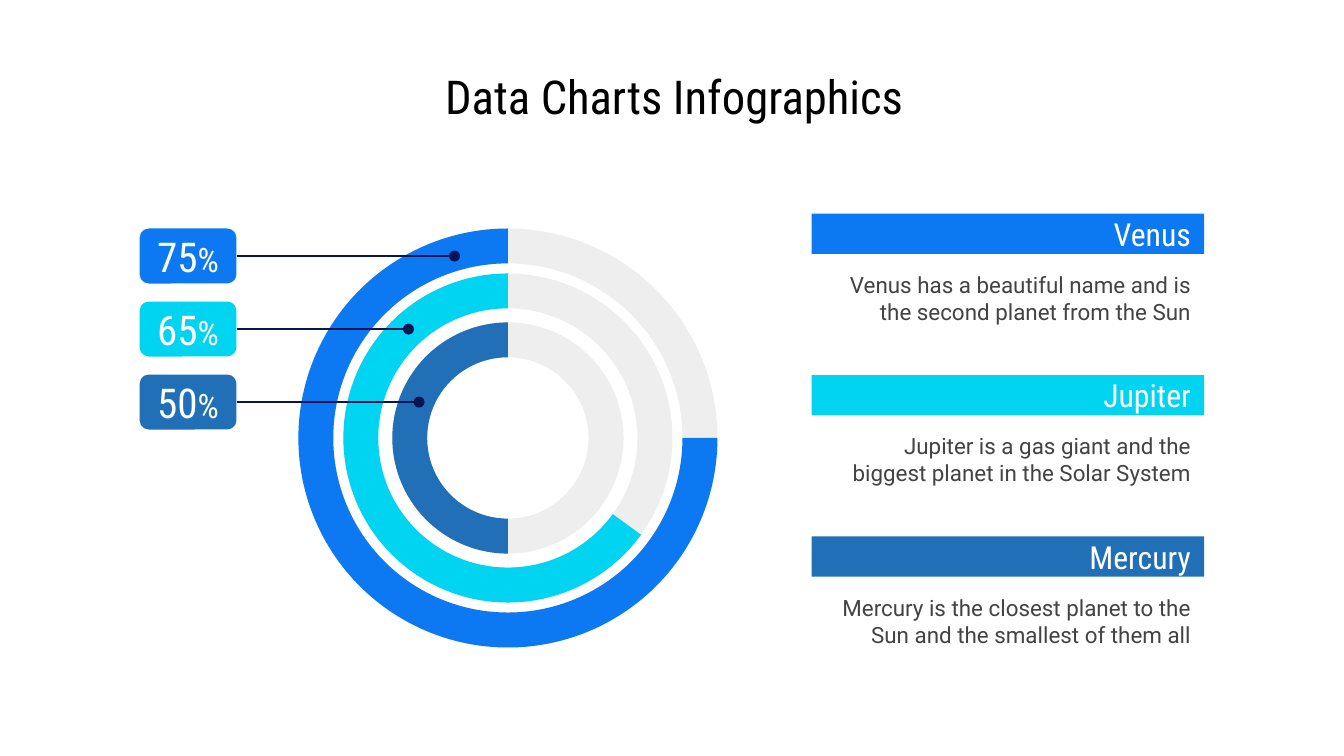
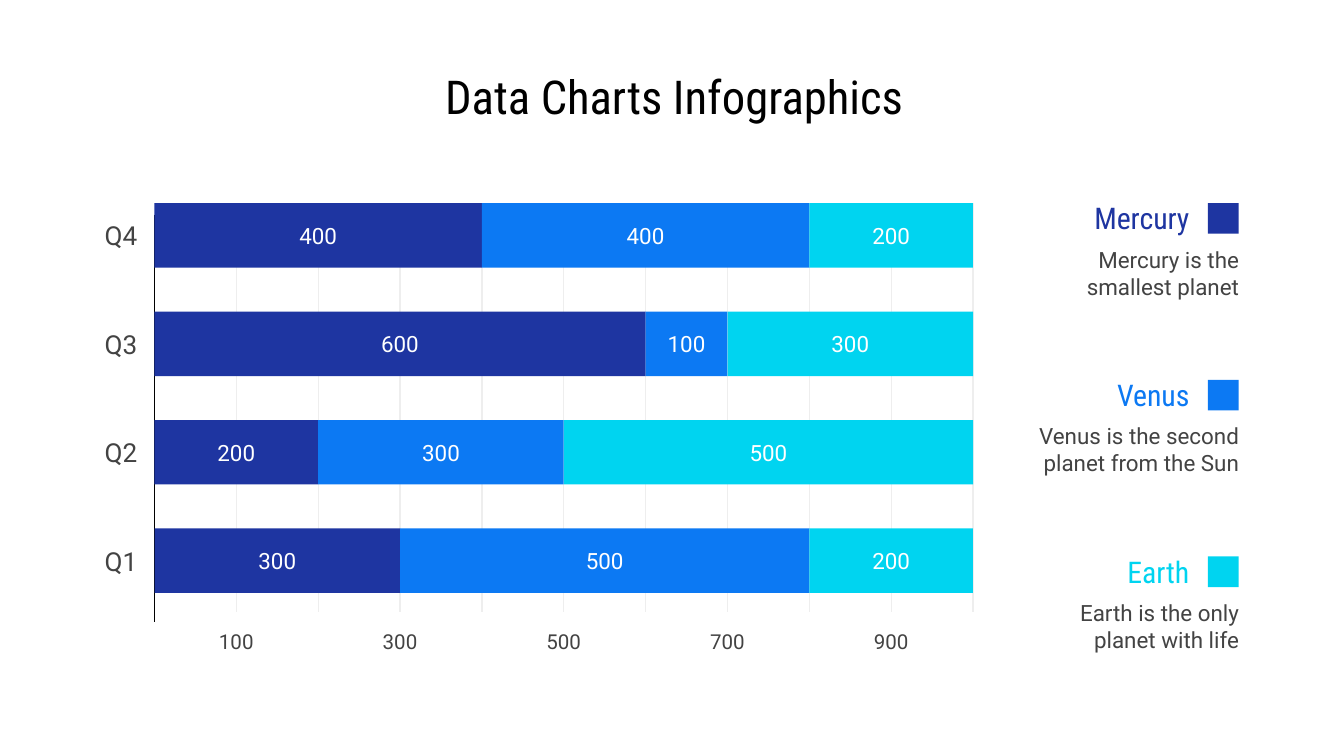
"""Build two data chart infographic slides: progress rings and stacked quarterly bars."""
import dataclasses

import pptx
import pptx.dml.color
import pptx.enum.shapes
import pptx.enum.text
import pptx.oxml
import pptx.oxml.ns
import pptx.util

Cm = pptx.util.Cm
SHAPES = pptx.enum.shapes.MSO_SHAPE
ALIGN = pptx.enum.text.PP_ALIGN


@dataclasses.dataclass(frozen=True)
class Theme:
    heading_font: str = "Roboto Condensed"
    body_font: str = "Roboto"
    black: str = "000000"
    white: str = "FFFFFF"
    grey_text: str = "434343"
    pale: str = "EEEEEE"
    navy: str = "071554"
    indigo: str = "1E35A1"
    blue: str = "0C79F3"
    cyan: str = "00D4F0"
    steel: str = "2170B7"
    title_size: int = 25
    value_size: int = 22
    percent_size: int = 18
    card_size: int = 17
    legend_size: int = 16
    category_size: int = 14
    body_size: int = 12
    tick_size: int = 11
    line_width: float = 0.75
    inset: float = 0.25


theme = Theme()


def add_box(slide, box, runs=(), font=theme.body_font, color=theme.white, align=ALIGN.CENTER,
            fill=None, geometry=SHAPES.RECTANGLE, left_inset=theme.inset, right_inset=theme.inset):
    lengths = [Cm(length) for length in box]
    if fill:
        shape = slide.shapes.add_shape(geometry, *lengths)
        shape.shadow.inherit = False
        shape.fill.solid()
        shape.fill.fore_color.rgb = pptx.dml.color.RGBColor.from_string(fill)
        shape.line.fill.background()
    else:
        shape = slide.shapes.add_textbox(*lengths)
    if runs:
        frame = shape.text_frame
        frame.word_wrap = True
        frame.vertical_anchor = pptx.enum.text.MSO_ANCHOR.MIDDLE
        frame.margin_top = frame.margin_bottom = Cm(theme.inset)
        frame.margin_left, frame.margin_right = Cm(left_inset), Cm(right_inset)
        paragraph = frame.paragraphs[0]
        paragraph.alignment = align
        for text, size in runs:
            run = paragraph.add_run()
            run.text = text
            run.font.name = font
            run.font.size = pptx.util.Pt(size)
            run.font.color.rgb = pptx.dml.color.RGBColor.from_string(color)
    return shape


def add_line(slide, start, end, color, oval_end=False):
    connector = slide.shapes.add_connector(
        pptx.enum.shapes.MSO_CONNECTOR.STRAIGHT, *[Cm(length) for length in (*start, *end)])
    connector.line.width = pptx.util.Pt(theme.line_width)
    connector.line.color.rgb = pptx.dml.color.RGBColor.from_string(color)
    properties = connector.element.spPr
    properties.append(pptx.oxml.parse_xml(f"<a:effectLst {pptx.oxml.ns.nsdecls('a')}/>"))
    if oval_end:
        properties.find(pptx.oxml.ns.qn("a:ln")).append(
            pptx.oxml.parse_xml(f"<a:tailEnd {pptx.oxml.ns.nsdecls('a')} type='oval'/>"))


presentation = pptx.Presentation()
presentation.slide_width, presentation.slide_height = Cm(25.4), Cm(14.29)
slides = []
for _ in range(2):
    slide = presentation.slides.add_slide(presentation.slide_layouts[6])
    add_box(slide, (1.35, 1.14, 22.78, 1.35), [("Data Charts Infographics", theme.title_size)],
            theme.heading_font, theme.black)
    slides.append(slide)
rings_slide, bars_slide = slides

cards = [
    ("Venus", "Venus has a beautiful name and is the second planet from the Sun", theme.blue),
    ("Jupiter", "Jupiter is a gas giant and the biggest planet in the Solar System", theme.cyan),
    ("Mercury", "Mercury is the closest planet to the Sun and the smallest of them all", theme.steel),
]
for index, (planet, description, color) in enumerate(cards):
    top = 4.04 + 3.05 * index
    add_box(rings_slide, (15.34, top + 0.81, 7.42, 1.57), [(description, theme.body_size)],
            color=theme.grey_text, align=ALIGN.RIGHT)
    add_box(rings_slide, (15.34, top, 7.42, 0.76), [(planet, theme.card_size)],
            theme.heading_font, align=ALIGN.RIGHT, fill=color)

center_x, center_y, ring_width = 9.6, 8.28, 0.66
rings = [
    (75, 7.92, 8.59, theme.blue),
    (65, 6.22, 7.72, theme.cyan),
    (50, 4.37, 7.92, theme.steel),
]
for percent, diameter, _, color in rings:
    box = (center_x - diameter / 2, center_y - diameter / 2, diameter, diameter)
    track = add_box(rings_slide, box, fill=theme.pale, geometry=SHAPES.DONUT)
    track.adjustments[0] = ring_width / diameter
    arc = add_box(rings_slide, box, fill=color, geometry=SHAPES.BLOCK_ARC)
    for position, degrees in enumerate((270 - 3.6 * percent, 270)):
        arc.adjustments[position] = degrees * 0.6
    arc.adjustments[2] = ring_width / diameter

pill_left, pill_width, pill_height = 2.64, 1.83, 1.04
for index, (percent, _, pointer_end, color) in enumerate(rings):
    top = 4.32 + 1.38 * index
    middle = top + pill_height / 2
    add_box(rings_slide, (pill_left, top, pill_width, pill_height),
            [(str(percent), theme.value_size), ("%", theme.percent_size)],
            theme.heading_font, fill=color, geometry=SHAPES.ROUNDED_RECTANGLE)
    add_line(rings_slide, (pill_left + pill_width, middle), (pointer_end, middle), theme.navy, True)

axis_x, bars_top, unit = 2.92, 3.84, 15.47 / 1000
for value in range(100, 1001, 100):
    x = axis_x + value * unit
    add_line(bars_slide, (x, bars_top), (x, 11.56), theme.pale)
for value in range(100, 1000, 200):
    add_box(bars_slide, (axis_x + value * unit - 0.6, 11.84, 1.2, 0.56),
            [(str(value), theme.tick_size)], color=theme.grey_text, left_inset=0, right_inset=0)
add_line(bars_slide, (axis_x, 4.06), (axis_x, 11.76), theme.black)

quarters = {"Q4": (400, 400, 200), "Q3": (600, 100, 300), "Q2": (200, 300, 500), "Q1": (300, 500, 200)}
series_colors = (theme.indigo, theme.blue, theme.cyan)
for index, (quarter, values) in enumerate(quarters.items()):
    left, top = axis_x, bars_top + 2.05 * index
    for value, color in zip(values, series_colors):
        add_box(bars_slide, (left, top, value * unit, 1.22), [(str(value), theme.body_size)], fill=color)
        left += value * unit
    add_box(bars_slide, (1.98, top + 0.33, 0.94, 0.56), [(quarter, theme.category_size)],
            color=theme.grey_text, align=ALIGN.LEFT, left_inset=0, right_inset=0)

legend = [
    ("Mercury", "Mercury is the smallest planet"),
    ("Venus", "Venus is the second planet from the Sun"),
    ("Earth", "Earth is the only planet with life"),
]
for index, ((planet, description), color) in enumerate(zip(legend, series_colors)):
    top = bars_top + 3.34 * index
    add_box(bars_slide, (19.61, top, 3.12, 0.56), [(planet, theme.legend_size)],
            theme.heading_font, color, ALIGN.RIGHT)
    add_box(bars_slide, (22.83, top, 0.58, 0.58), fill=color)
    add_box(bars_slide, (18.97, top + 0.59, 4.45, 1.45), [(description, theme.body_size)],
            color=theme.grey_text, align=ALIGN.RIGHT, right_inset=0)

presentation.save("out.pptx")
